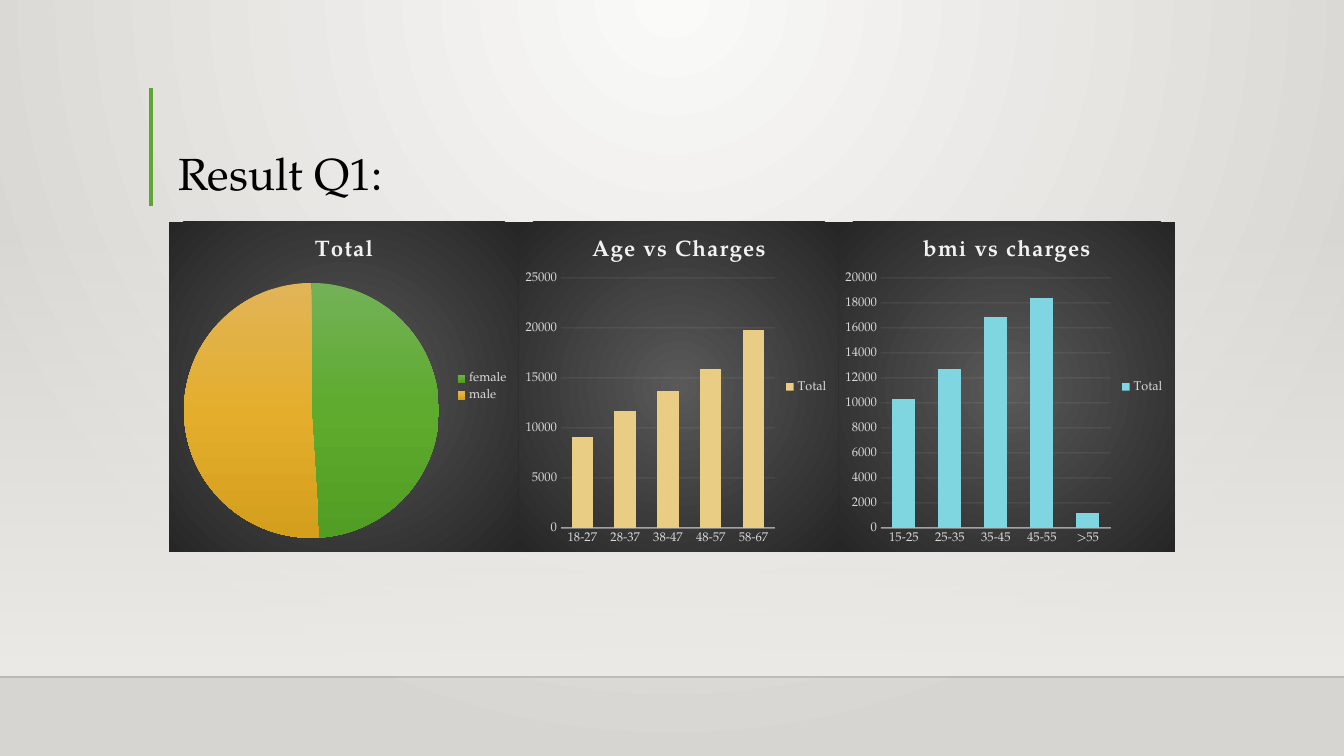
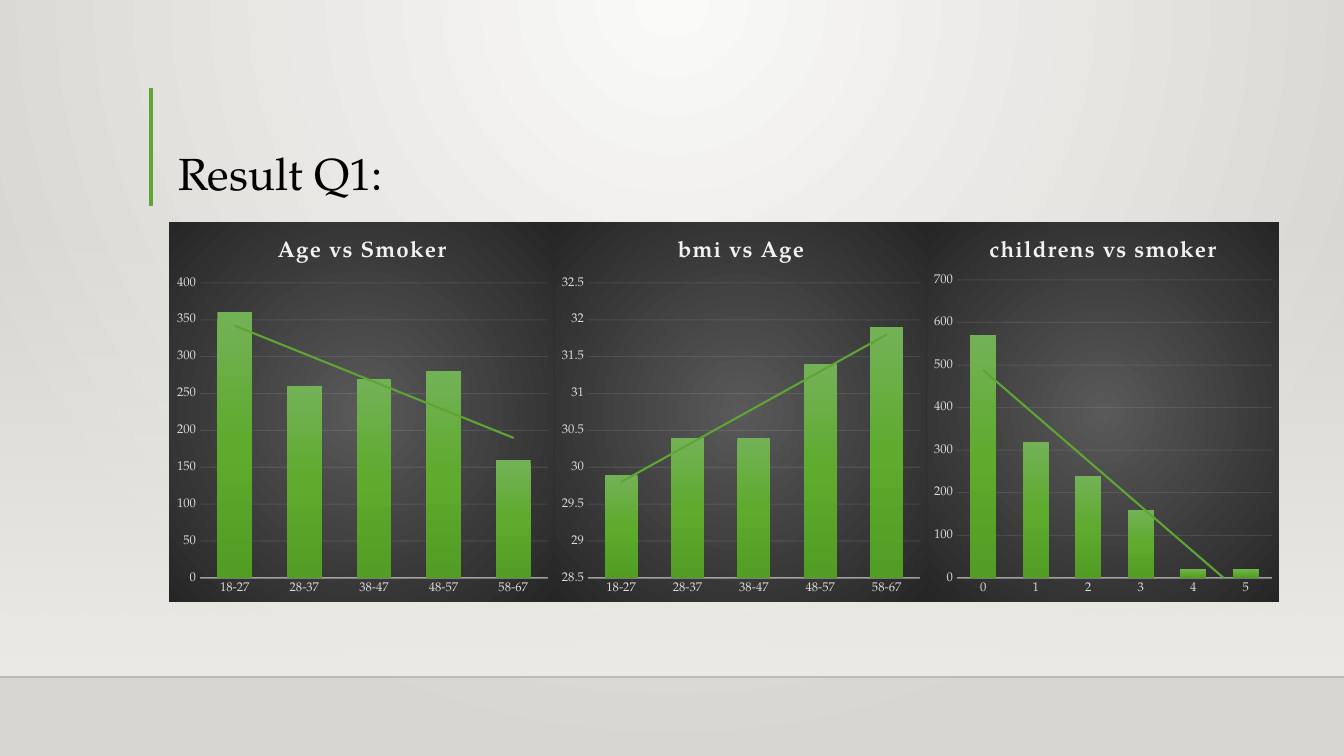
import pptx
import pptx.chart.data
import pptx.dml.color
import pptx.dml.fill
import pptx.enum.chart
import pptx.enum.shapes
import pptx.enum.text
import pptx.oxml
import pptx.oxml.ns
import pptx.util

PX = 12192000 / 1344
FONT = "TeX Gyre Pagella"
GREEN = "5FA534"
GREEN_BLEND = [(0, "73B157", 100), (50, "5EAB2E", 100), (100, "529D24", 100)]
GOLD_BLEND = [(0, "E1B458", 100), (50, "E4AE2C", 100), (100, "D49F1D", 100)]
PANEL_BLEND = [(0, "595959", 100), (100, "262626", 100)]
BAND_BLEND = [(0, "EDEBE7", 0), (100, "EDEBE7", 100)]
PAGE_BLEND = [(0, "FAFAF9", 100), (100, "D7D5D2", 100)]
NS_A = pptx.oxml.ns.nsdecls("a")
NS_CA = pptx.oxml.ns.nsdecls("c", "a")
AGES = ["18-27", "28-37", "38-47", "48-57", "58-67"]
CHART_LEFT, CHART_TOP = 169, 222

# Each chart: title, width, plot edges (left, top, right, bottom),
# categories, values, fill, value scale (low, high, step)
slides = [
    {"title": "Result Q1:", "height": 330, "series": "Total", "legend": True, "trend": False,
     "charts": [
         ("Total", 350, (184, 283, 439, 538), ["female", "male"], [49, 51],
          [GREEN_BLEND, GOLD_BLEND], None),
         ("Age vs Charges", 320, (561, 278, 775, 528), AGES,
          [9100, 11700, 13700, 15900, 19800], "EACD85", (0, 25000, 5000)),
         ("bmi vs charges", 336, (881, 278, 1111, 528),
          ["15-25", "25-35", "35-45", "45-55", ">55"],
          [10300, 12700, 16900, 18400, 1200], "7FD6E0", (0, 20000, 2000)),
     ]},
    {"title": "Result Q1:", "height": 380, "series": "Series 1", "legend": False, "trend": True,
     "charts": [
         ("Age vs Smoker", 386, (200, 283, 548, 578), AGES,
          [360, 260, 270, 280, 160], GREEN_BLEND, (0, 400, 50)),
         ("bmi vs Age", 372, (588, 283, 920, 578), AGES,
          [29.9, 30.4, 30.4, 31.4, 31.9], GREEN_BLEND, (28.5, 32.5, 0.5)),
         ("childrens vs smoker", 352, (957, 280, 1272, 578), ["0", "1", "2", "3", "4", "5"],
          [570, 320, 240, 160, 20, 20], GREEN_BLEND, (0, 700, 100)),
     ]},
]


def tint(fill, color, opacity=100):
    """Make a fill solid, with opacity in percent."""
    fill.solid()
    fill.fore_color.rgb = pptx.dml.color.RGBColor.from_string(color)
    if opacity < 100:
        node = fill._xPr.find(".//" + pptx.oxml.ns.qn("a:srgbClr"))
        node.append(pptx.oxml.parse_xml(f'<a:alpha {NS_A} val="{opacity * 1000}"/>'))


def blend(fill, stops, focus=None):
    """Make a fill a gradient: circular around focus (l, t, r, b in percent), else downward."""
    fill.solid()
    marks = "".join(
        f'<a:gs pos="{at * 1000}"><a:srgbClr val="{color}">'
        f'<a:alpha val="{opacity * 1000}"/></a:srgbClr></a:gs>'
        for at, color, opacity in stops)
    shade = '<a:lin ang="5400000" scaled="0"/>'
    if focus:
        edges = " ".join(f'{side}="{value * 1000}"' for side, value in zip("ltrb", focus))
        shade = f'<a:path path="circle"><a:fillToRect {edges}/></a:path>'
    gradient = pptx.oxml.parse_xml(
        f'<a:gradFill {NS_A} rotWithShape="1"><a:gsLst>{marks}</a:gsLst>{shade}</a:gradFill>')
    fill._xPr.replace(fill._xPr.find(pptx.oxml.ns.qn("a:solidFill")), gradient)


deck = pptx.Presentation()
deck.slide_width, deck.slide_height = round(1344 * PX), round(756 * PX)
blend(deck.slide_master.background.fill, PAGE_BLEND, (43, 0, 43, 100))

for slide in slides:
    page = deck.slides.add_slide(deck.slide_layouts[6])

    band = page.shapes.add_shape(
        pptx.enum.shapes.MSO_SHAPE.RECTANGLE,
        *[round(n * PX) for n in (0, 222, 1344, 454)])
    band.shadow.inherit = False
    band.line.fill.background()
    blend(band.fill, BAND_BLEND)

    for ends, color, width, opacity in [
            ((0, 677, 1344, 677), "000001", 1, 20),
            ((151, 88, 151, 206), GREEN, 3, 100)]:
        rule = page.shapes.add_connector(
            pptx.enum.shapes.MSO_CONNECTOR.STRAIGHT, *[round(n * PX) for n in ends])
        rule.line.width = pptx.util.Pt(width)
        tint(rule.line.fill, color, opacity)
        rule._element.spPr.append(pptx.oxml.parse_xml(f"<a:effectLst {NS_A}/>"))

    box = page.shapes.add_textbox(*[round(n * PX) for n in (169, 89, 1059, 116)])
    box.text_frame.word_wrap = True
    box.text_frame.vertical_anchor = pptx.enum.text.MSO_ANCHOR.BOTTOM
    para = box.text_frame.paragraphs[0]
    para.text = slide["title"]
    para.line_spacing = 0.9
    para.font.name = FONT
    para.font.size = pptx.util.Pt(32)
    tint(para.font.fill, "000000")

    left, height = CHART_LEFT, slide["height"]
    for title, width, plot_edges, categories, values, color, scale in slide["charts"]:
        data = pptx.chart.data.CategoryChartData()
        data.categories = categories
        data.add_series(slide["series"], values)
        kinds = pptx.enum.chart.XL_CHART_TYPE
        chart = page.shapes.add_chart(
            kinds.COLUMN_CLUSTERED if scale else kinds.PIE,
            *[round(n * PX) for n in (left, CHART_TOP, width, height)], data).chart

        chart.font.name = FONT
        chart.font.size = pptx.util.Pt(9)
        tint(chart.font.fill, "D9D9D9")
        panel = pptx.oxml.parse_xml(f"<c:spPr {NS_CA}><a:ln><a:noFill/></a:ln></c:spPr>")
        chart._chartSpace.find(pptx.oxml.ns.qn("c:txPr")).addprevious(panel)
        blend(pptx.dml.fill.FillFormat.from_fill_parent(panel), PANEL_BLEND, (50, 50, 50, 50))

        chart.has_title = True
        para = chart.chart_title.text_frame.paragraphs[0]
        span = para.add_run()
        span.text = title
        span.font.name = FONT
        span.font.size = pptx.util.Pt(16)
        span.font.bold = True
        tint(span.font.fill, "F2F2F2")
        span.font._element.set("spc", "100")

        chart.has_legend = slide["legend"]
        if chart.has_legend:
            chart.legend.position = pptx.enum.chart.XL_LEGEND_POSITION.RIGHT
            chart.legend.include_in_layout = False

        x1, y1, x2, y2 = plot_edges
        shares = {"x": (x1 - left) / width, "y": (y1 - CHART_TOP) / height,
                  "w": (x2 - x1) / width, "h": (y2 - y1) / height}
        layout = (
            '<c:layoutTarget val="inner"/><c:xMode val="edge"/><c:yMode val="edge"/>'
            + "".join(f'<c:{key} val="{share:.4f}"/>' for key, share in shares.items()))
        area = chart._chartSpace.find(".//" + pptx.oxml.ns.qn("c:plotArea"))
        for old in area.findall(pptx.oxml.ns.qn("c:layout")):
            area.remove(old)
        area.insert(0, pptx.oxml.parse_xml(
            f"<c:layout {NS_CA}><c:manualLayout>{layout}</c:manualLayout></c:layout>"))

        plot = chart.plots[0]
        series = plot.series[0]
        plot.vary_by_categories = scale is None
        if scale is None:
            for index, stops in enumerate(color):
                blend(series.points[index].format.fill, stops)
        else:
            plot.gap_width, plot.overlap = 100, -24
            if isinstance(color, str):
                tint(series.format.fill, color)
            else:
                blend(series.format.fill, color)

            value_axis, category_axis = chart.value_axis, chart.category_axis
            for axis in (value_axis, category_axis):
                axis.major_tick_mark = pptx.enum.chart.XL_TICK_MARK.NONE
            value_axis.minimum_scale, value_axis.maximum_scale, value_axis.major_unit = scale
            value_axis.format.line.fill.background()
            for line, weight, opacity in [
                    (value_axis.major_gridlines.format.line, 0.75, 10),
                    (category_axis.format.line, 1, 54)]:
                line.width = pptx.util.Pt(weight)
                tint(line.fill, "F2F2F2", opacity)

        if slide["trend"]:
            trend = pptx.oxml.parse_xml(
                f'<c:trendline {NS_CA}><c:spPr><a:ln w="{pptx.util.Pt(1.5)}" cap="rnd">'
                f'<a:solidFill><a:srgbClr val="{GREEN}"/></a:solidFill></a:ln></c:spPr>'
                '<c:trendlineType val="linear"/><c:dispRSqr val="0"/><c:dispEq val="0"/>'
                '</c:trendline>')
            series._element.find(pptx.oxml.ns.qn("c:cat")).addprevious(trend)
        left += width

deck.save("out.pptx")
